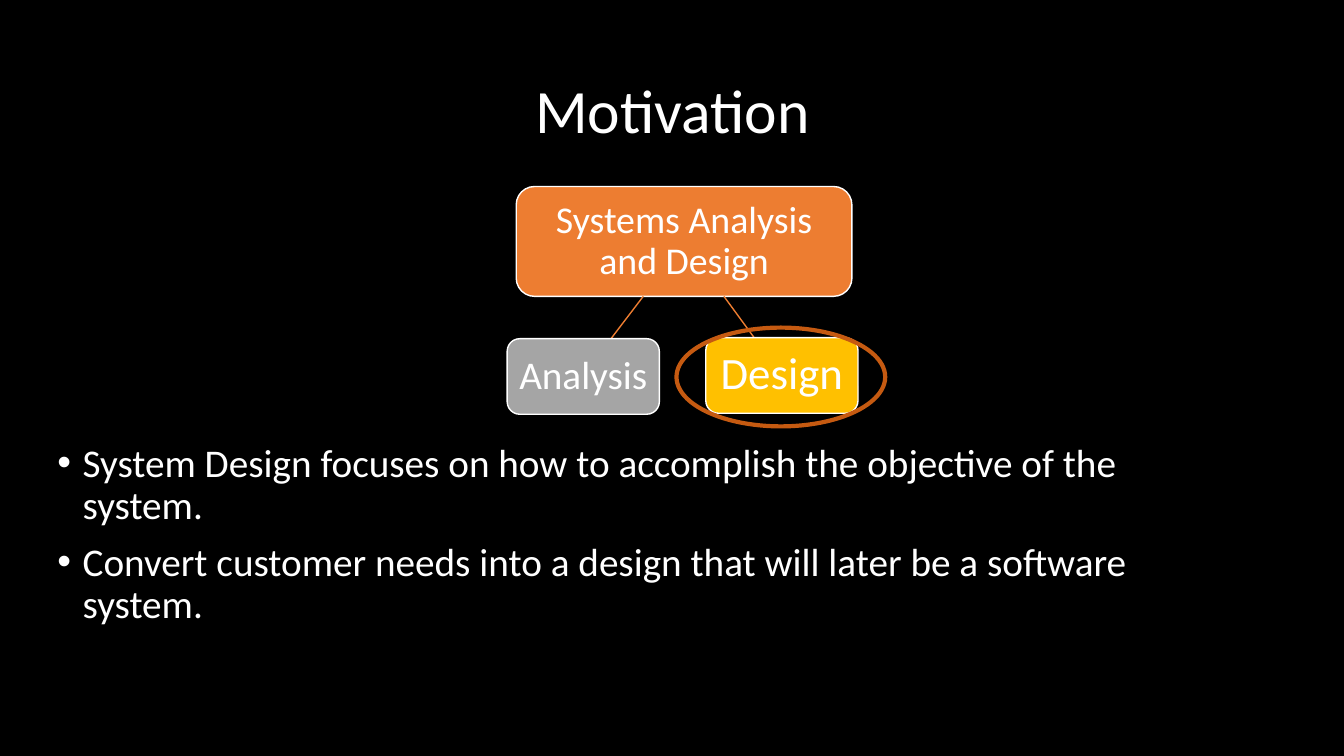
from lxml import etree
from pptx import Presentation
from pptx.dml.color import RGBColor
from pptx.enum.shapes import MSO_CONNECTOR, MSO_SHAPE
from pptx.enum.text import MSO_ANCHOR, MSO_AUTO_SIZE, PP_ALIGN
from pptx.oxml.ns import qn
from pptx.util import Inches, Pt

ROUND = MSO_SHAPE.ROUNDED_RECTANGLE
OVAL = MSO_SHAPE.OVAL
STRAIGHT = MSO_CONNECTOR.STRAIGHT
MIDDLE = MSO_ANCHOR.MIDDLE
TOP = MSO_ANCHOR.TOP
CENTER = PP_ALIGN.CENTER
LEFT = PP_ALIGN.LEFT
FIXED = MSO_AUTO_SIZE.NONE

COLORS = {
    "back": "000000",
    "text": "FFFFFF",
    "root": "ED7D31",
    "analysis": "A5A5A5",
    "design": "FFC000",
    "ring": "C55A11",
}
POINTS = [
    "System Design focuses on how to accomplish the objective of the system.",
    "Convert customer needs into a design that will later be a software system.",
]


def color(name):
    return RGBColor.from_string(COLORS[name])


def apply(target, values):
    for name, value in values.items():
        setattr(target, name, value)


def place(shape, box):
    names = ("left", "top", "width", "height")
    apply(shape, dict(zip(names, map(Inches, box))))


def write(shape, lines, size, align, anchor, gap=0, inset=None):
    frame = shape.text_frame
    frame.text = "\n".join(lines)
    apply(frame, {"word_wrap": True, "auto_size": FIXED, "vertical_anchor": anchor})
    if inset is not None:
        sides = ("left", "top", "right", "bottom")
        apply(frame, {f"margin_{side}": Inches(inset) for side in sides})
    for para in frame.paragraphs:
        apply(para, {"alignment": align, "line_spacing": 0.9, "space_before": Pt(gap)})
        for run in para.runs:
            apply(run.font, {"name": "Calibri", "size": Pt(size)})
            run.font.color.rgb = color("text")


def stroke(shape, name, width):
    shape.line.color.rgb = color(name)
    shape.line.width = Pt(width)


def add_node(slide, box, fill, label, size, inset):
    node = slide.shapes.add_shape(ROUND, *map(Inches, box))
    node.shadow.inherit = False
    node.adjustments[0] = 0.167
    node.fill.solid()
    node.fill.fore_color.rgb = color(fill)
    stroke(node, "text", 1)
    write(node, [label], size, CENTER, MIDDLE, inset=inset)


def add_link(slide, start, end):
    link = slide.shapes.add_connector(STRAIGHT, *map(Inches, start + end))
    stroke(link, "root", 1)
    etree.SubElement(link.element.spPr, qn("a:effectLst"))


def add_title(slide, box):
    title = slide.shapes.title
    place(title, box)
    write(title, ["Motivation"], 44, CENTER, MIDDLE)


def add_tree(slide, box):
    left, top, width, height = box
    root = (left + 0.09, top, 3.33, 1.09)
    base = top + root[3]
    add_node(slide, root, "root", "Systems Analysis and Design", 27, 0.12)
    kids = [
        ("Analysis", 28, "analysis", 0, 1.51, 1.35, 1.03),
        ("Design", 32, "design", 1.97, 1.5, 2.15, 2.45),
    ]
    for label, size, fill, shift, drop, start, end in kids:
        add_link(slide, (left + start, base), (left + end, top + drop))
        node = (left + shift, top + drop, 1.51, 0.75)
        add_node(slide, node, fill, label, size, 0.04)


def add_list(slide, box):
    body = slide.placeholders[1]
    place(body, box)
    write(body, POINTS, 28, LEFT, TOP, gap=10)
    for para in body.text_frame.paragraphs:
        props = para._p.get_or_add_pPr()
        props.set("marL", str(Inches(0.25)))
        props.set("indent", str(-Inches(0.25)))
        font = etree.SubElement(props, qn("a:buFont"))
        font.set("typeface", "Arial")
        etree.SubElement(props, qn("a:buChar")).set("char", "•")


def add_ring(slide, box):
    ring = slide.shapes.add_shape(OVAL, *map(Inches, box))
    ring.shadow.inherit = False
    ring.fill.background()
    stroke(ring, "ring", 3)


def main():
    deck = Presentation()
    apply(deck, {"slide_width": Inches(13.33), "slide_height": Inches(7.5)})
    slide = deck.slides.add_slide(deck.slide_layouts[1])
    slide.background.fill.solid()
    slide.background.fill.fore_color.rgb = color("back")
    add_title(slide, (0.92, 0.4, 11.5, 1.45))
    add_tree(slide, (5.03, 1.85, 3.48, 2.26))
    add_list(slide, (0.47, 4.35, 11.8, 2.35))
    add_ring(slide, (6.71, 3.25, 2.07, 0.98))
    deck.save("out.pptx")


if __name__ == "__main__":
    main()
